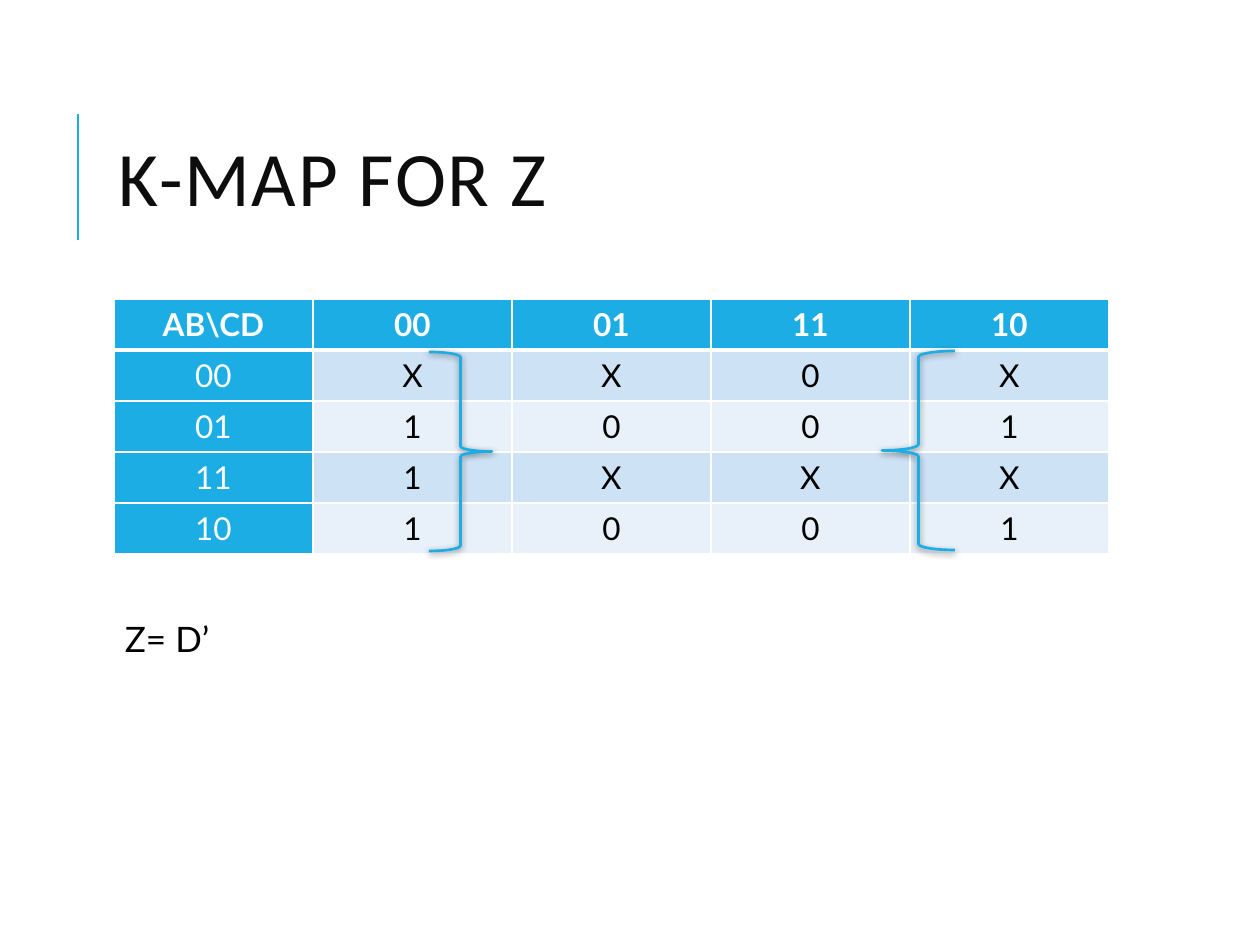
from lxml import etree
from pptx import Presentation
from pptx import util as u
from pptx.dml.color import RGBColor
from pptx.enum import shapes, text
from pptx.oxml import ns

PX = u.Inches(1) // 126
COLORS = {
    "accent": "1CADE4",
    "title": "0D0D0D",
    "ink": "000000",
    "paper": "FFFFFF",
    "band_dark": "CDE3F5",
    "band_light": "E8F1FA",
}
K_MAP = [
    ["AB\\CD", "00", "01", "11", "10"],
    ["00", "X", "X", "0", "X"],
    ["01", "1", "0", "0", "1"],
    ["11", "1", "X", "X", "X"],
    ["10", "1", "0", "0", "1"],
]
COL_WIDTH, ROW_HEIGHT = 199, 51


def px(*lengths):
    """Turn picture pixels into EMU."""
    return [u.Emu(length * PX) for length in lengths]


def rgb(name):
    """Look up a named colour."""
    return RGBColor.from_string(COLORS[name])


def add_node(parent, tag, **attributes):
    """Append a DrawingML element and return it."""
    node = etree.SubElement(parent, ns.qn(tag))
    for key, value in attributes.items():
        node.set(key, str(value))
    return node


def add_color(parent, name):
    """Append a plain colour element and return it."""
    return add_node(parent, "a:srgbClr", val=COLORS[name])


def write(frame, words, size=18, font="Lato", color="ink", bold=False,
          align=text.PP_ALIGN.LEFT, line=1.0, before=0, after=0, spacing=0):
    """Write one formatted paragraph and return it."""
    paragraph = frame.paragraphs[0]
    paragraph.alignment = align
    paragraph.line_spacing = line
    paragraph.space_before, paragraph.space_after = u.Pt(before), u.Pt(after)
    run = paragraph.add_run()
    run.text = words
    run.font.size, run.font.name, run.font.bold = u.Pt(size), font, bold
    run.font.color.rgb = rgb(color)
    if spacing:
        run.font._element.set("spc", str(spacing * 100))
    return paragraph


def place(placeholder, box, anchor):
    """Move a placeholder and fix its text frame."""
    (placeholder.left, placeholder.top,
     placeholder.width, placeholder.height) = px(*box)
    frame = placeholder.text_frame
    frame.word_wrap = True
    frame.auto_size = text.MSO_AUTO_SIZE.NONE
    frame.vertical_anchor = anchor
    return frame


def add_title(slide):
    """Fill the title and draw the rule on its left."""
    rule = slide.shapes.add_connector(
        shapes.MSO_CONNECTOR.STRAIGHT, *px(78, 240, 78, 114))
    rule.line.color.rgb = rgb("accent")
    rule.line.width = u.Pt(1.5)
    add_node(rule._element.spPr, "a:effectLst")
    frame = place(slide.shapes.title, (106, 81, 1004, 207),
                  text.MSO_ANCHOR.MIDDLE)
    write(frame, "K-MAP FOR Z", size=44, font="Calibri", color="title",
          line=0.8, spacing=1)


def add_result(slide):
    """Fill the body with the simplified expression."""
    frame = place(slide.placeholders[1], (106, 616, 485, 193),
                  text.MSO_ANCHOR.TOP)
    frame.margin_left = frame.margin_right = u.Inches(0.05)
    frame.margin_top = frame.margin_bottom = u.Inches(0.05)
    result = write(frame, "Z= D’", size=20, line=0.9, before=12, after=2)
    props = result._p.get_or_add_pPr()
    props.set("marL", str(u.Inches(0.1)))
    props.set("indent", str(-u.Inches(0.1)))
    add_color(add_node(props, "a:buClr"), "accent")
    add_node(props, "a:buChar", char=" ")


def add_borders(cell, top, bottom):
    """Draw white borders, with top and bottom widths in points."""
    props = cell._tc.get_or_add_tcPr()
    for side, width in (("L", 1), ("R", 1), ("T", top), ("B", bottom)):
        border = add_node(props, "a:ln" + side, w=u.Pt(width))
        add_color(add_node(border, "a:solidFill"), "paper")


def add_k_map(slide):
    """Add the Karnaugh map as a table."""
    rows, cols = len(K_MAP), len(K_MAP[0])
    table = slide.shapes.add_table(rows, cols, *px(
        114, 299, cols * COL_WIDTH, rows * ROW_HEIGHT)).table
    table.first_col = True
    for column in table.columns:
        column.width = px(COL_WIDTH)[0]
    for r, values in enumerate(K_MAP):
        table.rows[r].height = px(ROW_HEIGHT)[0]
        for c, value in enumerate(values):
            cell = table.cell(r, c)
            heading = r == 0 or c == 0
            band = "band_dark" if r % 2 else "band_light"
            add_borders(cell, top=3 if r == 1 else 1, bottom=3 if r == 0 else 1)
            cell.fill.solid()
            cell.fill.fore_color.rgb = rgb("accent" if heading else band)
            write(cell.text_frame, value, bold=r == 0,
                  color="paper" if heading else "ink",
                  align=text.PP_ALIGN.CENTER)


def add_brace(slide, kind, box):
    """Add a brace with a soft shadow that groups cells of the map."""
    brace = slide.shapes.add_shape(kind, *px(*box))
    brace.fill.background()
    brace.line.color.rgb = rgb("accent")
    brace.line.width = u.Pt(1.5)
    brace.shadow.inherit = False
    effects = brace._element.spPr.find(ns.qn("a:effectLst"))
    shadow = add_node(effects, "a:outerShdw", blurRad=u.Pt(4), dist=u.Pt(1),
                      dir=90 * 60000, rotWithShape=0)
    add_node(add_color(shadow, "ink"), "a:alpha", val=50000)


def main():
    """Build and save the slide."""
    deck = Presentation()
    deck.slide_width, deck.slide_height = u.Inches(10), u.Inches(7.5)
    slide = deck.slides.add_slide(deck.slide_layouts[1])
    add_title(slide)
    add_k_map(slide)
    add_result(slide)
    add_brace(slide, shapes.MSO_SHAPE.LEFT_BRACE, (882, 351, 73, 199))
    add_brace(slide, shapes.MSO_SHAPE.RIGHT_BRACE, (429, 352, 63, 199))
    deck.save("out.pptx")


main()
